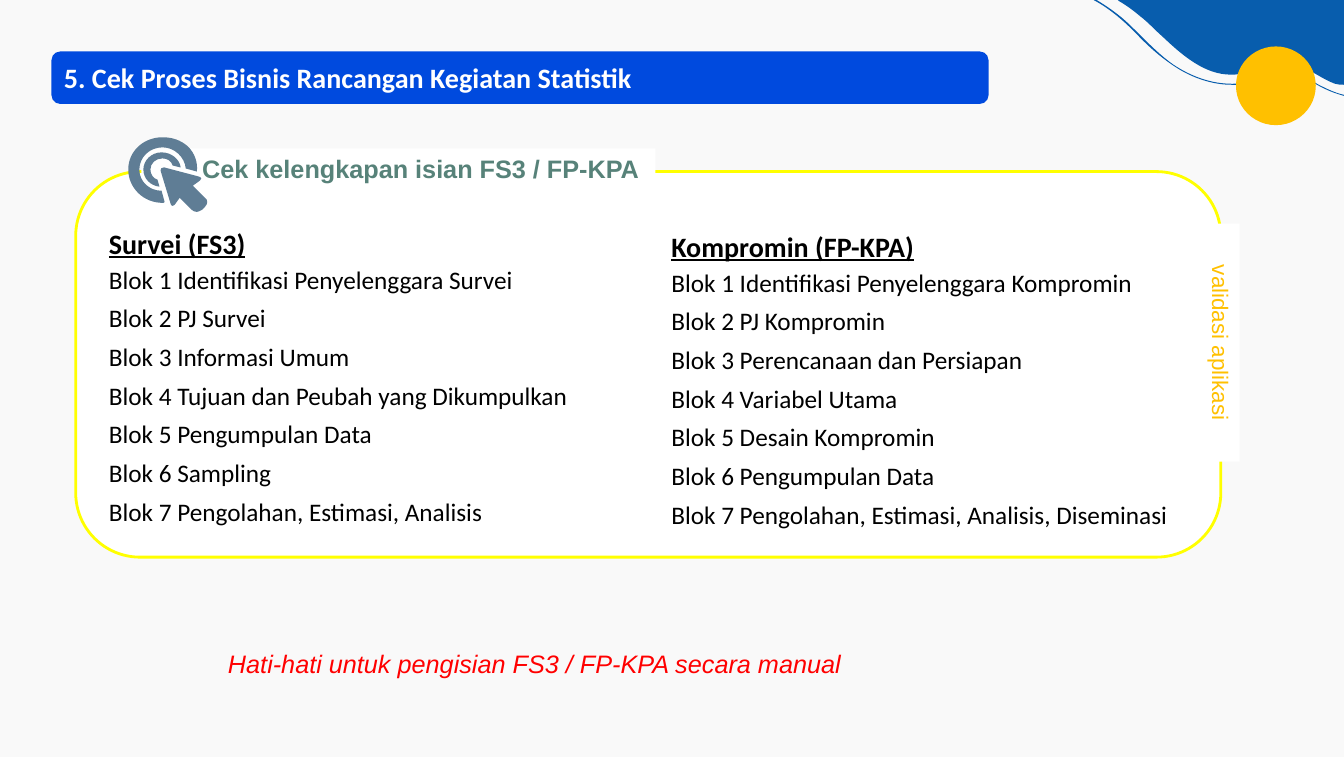
from dataclasses import dataclass
from lxml.etree import SubElement
from pptx import Presentation
from pptx.dml.color import RGBColor
from pptx.enum.shapes import MSO_SHAPE
from pptx.enum.text import MSO_ANCHOR, PP_ALIGN
from pptx.oxml.ns import qn
from pptx.util import Inches, Pt


@dataclass(frozen=True)
class Theme:
    back: str = "F9F9F9"
    wave: str = "085DAD"
    sun: str = "FFC000"
    bar: str = "004ADE"
    white: str = "FFFFFF"
    edge: str = "FFFF00"
    sage: str = "578279"
    slate: str = "5F7D95"
    ink: str = "000000"
    alert: str = "FF0000"
    head: int = 20
    body: int = 18
    side: int = 16
    sans: str = "Arial"
    text: str = "Calibri"


@dataclass(frozen=True)
class Box:
    x: float
    y: float
    w: float
    h: float

    def sub(self, dx, dy, w, h):
        """Give a box whose corner is offset from this one."""
        return Box(self.x + dx, self.y + dy, w, h)

    def emu(self):
        return [Inches(v) for v in (self.x, self.y, self.w, self.h)]


T = Theme()

# Outlines: a pair is a point, six numbers are a cubic curve.
WAVE = [
    (2.48, 0.84), (2.45, 0.84, 2.42, 0.84, 2.39, 0.83),
    (2.25, 0.78, 2.12, 0.66, 1.97, 0.64), (1.95, 0.63, 1.93, 0.63, 1.9, 0.63),
    (1.73, 0.63, 1.56, 0.73, 1.39, 0.74), (1.38, 0.74, 1.37, 0.74, 1.36, 0.74),
    (1.1, 0.74, 0.88, 0.55, 0.68, 0.36), (0.61, 0.3, 0.54, 0.22, 0.46, 0.16),
    (0.39, 0.1, 0.32, 0.05, 0.25, 0.01), (0.24, 0, 0.24, 0, 0.24, 0), (2.48, 0),
]
THREAD = [
    (2.48, 0.95), (2.41, 0.93, 2.35, 0.91, 2.29, 0.88),
    (2.2, 0.84, 2.11, 0.77, 2.01, 0.74), (1.98, 0.73, 1.95, 0.72, 1.92, 0.72),
    (1.85, 0.72, 1.78, 0.75, 1.71, 0.77), (1.62, 0.81, 1.53, 0.84, 1.43, 0.84),
    (1.41, 0.84, 1.39, 0.84, 1.37, 0.84), (1.2, 0.84, 1.03, 0.79, 0.87, 0.7),
    (0.7, 0.6, 0.55, 0.47, 0.41, 0.32), (0.28, 0.19, 0.15, 0.08, 0, 0),
    (0.03, 0), (0.13, 0.06, 0.23, 0.13, 0.32, 0.21),
    (0.48, 0.36, 0.62, 0.52, 0.79, 0.64), (0.97, 0.76, 1.17, 0.83, 1.37, 0.83),
    (1.38, 0.83, 1.38, 0.83, 1.38, 0.83), (1.49, 0.83, 1.59, 0.8, 1.69, 0.77),
    (1.76, 0.74, 1.84, 0.71, 1.92, 0.71), (1.93, 0.71, 1.94, 0.71, 1.96, 0.71),
    (2.06, 0.73, 2.14, 0.79, 2.23, 0.84), (2.31, 0.88, 2.39, 0.92, 2.48, 0.94),
]
ARROW = [
    (0.35, 0.3), (0.33, 0.3, 0.32, 0.31, 0.32, 0.33), (0.42, 0.66),
    (0.42, 0.67, 0.43, 0.68, 0.44, 0.68), (0.45, 0.68, 0.45, 0.68, 0.46, 0.67),
    (0.51, 0.6), (0.57, 0.66), (0.63, 0.72),
    (0.64, 0.73, 0.66, 0.74, 0.68, 0.74),
    (0.69, 0.74, 0.71, 0.73, 0.73, 0.72), (0.76, 0.69),
    (0.79, 0.66, 0.79, 0.62, 0.76, 0.6), (0.64, 0.48), (0.71, 0.43),
    (0.73, 0.42, 0.73, 0.4, 0.7, 0.39), (0.36, 0.3),
    (0.35, 0.3, 0.35, 0.3, 0.35, 0.3),
]
INNER = [
    (0.33, 0.15), (0.23, 0.15, 0.15, 0.23, 0.15, 0.32),
    (0.15, 0.41, 0.22, 0.48, 0.31, 0.49), (0.29, 0.42),
    (0.25, 0.41, 0.22, 0.37, 0.22, 0.32), (0.22, 0.26, 0.27, 0.21, 0.34, 0.21),
    (0.39, 0.21, 0.43, 0.24, 0.44, 0.28), (0.52, 0.3),
    (0.51, 0.22, 0.43, 0.15, 0.33, 0.15),
]
OUTER = [
    (0.34, 0), (0.15, 0, 0, 0.14, 0, 0.32), (0, 0.5, 0.15, 0.65, 0.34, 0.65),
    (0.35, 0.65, 0.36, 0.65, 0.36, 0.64), (0.33, 0.53),
    (0.33, 0.53, 0.33, 0.53, 0.33, 0.53),
    (0.21, 0.53, 0.11, 0.44, 0.11, 0.32), (0.11, 0.2, 0.21, 0.1, 0.34, 0.1),
    (0.46, 0.1, 0.56, 0.2, 0.57, 0.31), (0.68, 0.34),
    (0.69, 0.25, 0.66, 0.16, 0.59, 0.09), (0.52, 0.03, 0.44, 0, 0.34, 0),
]

SURVEY = [
    "Identifikasi Penyelenggara Survei", "PJ Survei", "Informasi Umum",
    "Tujuan dan Peubah yang Dikumpulkan", "Pengumpulan Data", "Sampling",
    "Pengolahan, Estimasi, Analisis",
]
COMPILE = [
    "Identifikasi Penyelenggara Kompromin", "PJ Kompromin",
    "Perencanaan dan Persiapan", "Variabel Utama", "Desain Kompromin",
    "Pengumpulan Data", "Pengolahan, Estimasi, Analisis, Diseminasi",
]


def paint(shape, fill, line=None, width=1):
    shape.shadow.inherit = False
    shape.fill.solid()
    shape.fill.fore_color.rgb = RGBColor.from_string(fill)
    if line:
        shape.line.color.rgb = RGBColor.from_string(line)
        shape.line.width = Pt(width)
    else:
        shape.line.fill.background()


def block(slide, kind, box, fill, line=None, width=1):
    shape = slide.shapes.add_shape(kind, *box.emu())
    paint(shape, fill, line, width)
    return shape


def draw(slide, box, outline, fill):
    """Build the outline from its end points, then bend its curved parts."""
    dots = [(Inches(box.x + p[-2]), Inches(box.y + p[-1])) for p in outline]
    maker = slide.shapes.build_freeform(*dots[0])
    maker.add_line_segments(dots[1:], close=False)
    maker.add_line_segments([], close=True)
    shape = maker.convert_to_shape()
    sides = list(shape.element.iter(qn("a:lnTo")))
    for side, part in zip(sides, outline[1:]):
        if len(part) == 2:
            continue
        side.tag = qn("a:cubicBezTo")
        for old in list(side):
            side.remove(old)
        for x, y in zip(part[::2], part[1::2]):
            SubElement(side, qn("a:pt"),
                       x=str(Inches(box.x + x) - shape.left),
                       y=str(Inches(box.y + y) - shape.top))
    paint(shape, fill)


def write(para, text, size, color, face, align=PP_ALIGN.LEFT, **style):
    para.alignment = align
    run = para.add_run()
    run.text = text
    font = run.font
    font.size, font.name = Pt(size), face
    font.color.rgb = RGBColor.from_string(color)
    for key, value in style.items():
        setattr(font, key, value)


def frame(shape, anchor=MSO_ANCHOR.TOP):
    body = shape.text_frame
    body.word_wrap = True
    body.vertical_anchor = anchor
    return body


def corner(slide, box):
    for outline in (WAVE, THREAD):
        draw(slide, box, outline, T.wave)
    block(slide, MSO_SHAPE.OVAL, box.sub(1.41, 0.46, 0.79, 0.78), T.sun)


def banner(slide, box, text):
    bar = block(slide, MSO_SHAPE.ROUNDED_RECTANGLE, box, T.bar)
    write(frame(bar, MSO_ANCHOR.MIDDLE).paragraphs[0], text,
          T.head, T.white, T.text, bold=True)


def column(slide, box, title, items):
    body = frame(slide.shapes.add_textbox(*box.emu()))
    write(body.paragraphs[0], title, T.head, T.ink, T.text,
          bold=True, underline=True)
    for i, item in enumerate(items, 1):
        para = body.add_paragraph()
        para.space_before = para.space_after = Pt(3)
        write(para, f"Blok {i} {item}", T.body, T.ink, T.text)


def card(slide, box):
    block(slide, MSO_SHAPE.ROUNDED_RECTANGLE, box, T.white, T.edge, 2)
    label = block(slide, MSO_SHAPE.RECTANGLE,
                  box.sub(0.65, -0.23, 5.09, 0.48), T.white)
    write(frame(label).paragraphs[0], "Cek kelengkapan isian FS3 / FP-KPA ",
          T.body, T.sage, T.sans, PP_ALIGN.RIGHT, bold=True)
    tag = block(slide, MSO_SHAPE.RECTANGLE,
                box.sub(box.w - 1.18, 1.51, 2.36, 0.37), T.white)
    tag.rotation = 90
    write(frame(tag).paragraphs[0], "validasi aplikasi",
          T.side, T.sun, T.sans, PP_ALIGN.CENTER)
    column(slide, box.sub(0.23, 0.49, 4.98, 3.11), "Survei (FS3)", SURVEY)
    column(slide, box.sub(5.8, 0.52, 5.19, 3.11), "Kompromin (FP-KPA)", COMPILE)
    for outline in (ARROW, INNER, OUTER):
        draw(slide, box.sub(0.52, -0.34, 0.79, 0.74), outline, T.slate)


def note(slide, box, text):
    body = frame(slide.shapes.add_textbox(*box.emu()))
    write(body.paragraphs[0], text, T.body, T.alert, T.sans, italic=True)


def main():
    deck = Presentation()
    deck.slide_width, deck.slide_height = Inches(13.31), Inches(7.5)
    slide = deck.slides.add_slide(deck.slide_layouts[6])
    slide.background.fill.solid()
    slide.background.fill.fore_color.rgb = RGBColor.from_string(T.back)
    corner(slide, Box(10.83, 0, 2.48, 1.24))
    banner(slide, Box(0.51, 0.51, 9.28, 0.52),
           "5. Cek Proses Bisnis Rancangan Kegiatan Statistik")
    card(slide, Box(0.75, 1.7, 11.34, 3.82))
    note(slide, Box(2.16, 6.37, 6.84, 0.4),
         "Hati-hati untuk pengisian FS3 / FP-KPA secara manual")
    deck.save("out.pptx")


if __name__ == "__main__":
    main()
